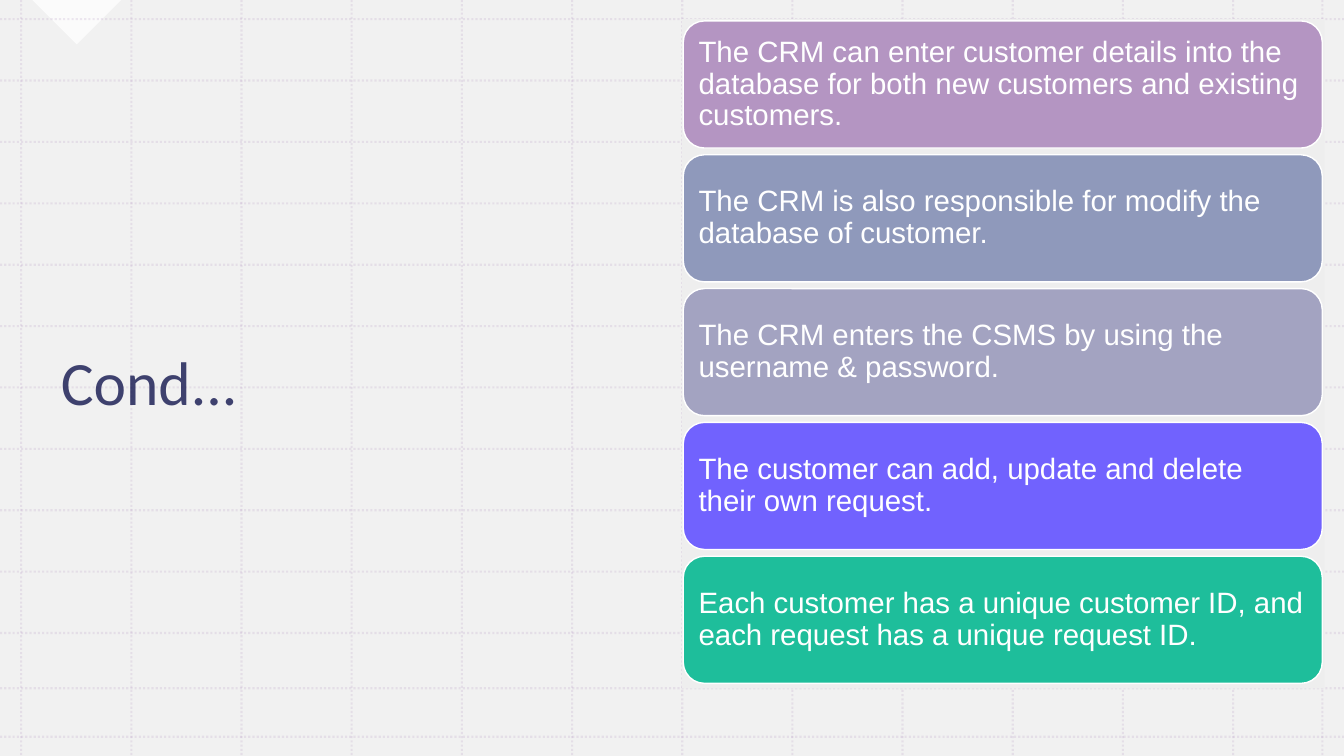
from pptx import Presentation
from pptx.dml.color import RGBColor
from pptx.enum.dml import MSO_LINE
from pptx.enum.shapes import MSO_CONNECTOR, MSO_SHAPE
from pptx.enum.text import MSO_ANCHOR, PP_ALIGN
from pptx.oxml.ns import qn
from pptx.util import Inches, Pt
from lxml.etree import SubElement

WIDTH, HEIGHT = 13.33, 7.5
LEFT, TOP = 0.21, 0.19
COL, ROW = (12.23 - LEFT) / 11, (6.28 - TOP) / 10

WHITE = RGBColor(0xFF, 0xFF, 0xFF)
PALE = RGBColor(0xEE, 0xEE, 0xEE)
NAVY = RGBColor(0x12, 0x15, 0x4E)
MAUVE = RGBColor(0xB4, 0x95, 0xC2)
SLATE = RGBColor(0x8F, 0x99, 0xBB)
LAVENDER = RGBColor(0xA3, 0xA3, 0xC1)
VIOLET = RGBColor(0x71, 0x62, 0xFE)
GREEN = RGBColor(0x1E, 0xBE, 0x9B)

CARDS = [
    (MAUVE, "The CRM can enter customer details into the database for both "
            "new customers and existing customers."),
    (SLATE, "The CRM\u00a0is also responsible for\u00a0modify the database of customer."),
    (LAVENDER, "The CRM\u00a0enters the\u00a0CSMS by using the username\u00a0& password.\u00a0"),
    (VIOLET, "The\u00a0customer can add, update and delete their own request."),
    (GREEN, "Each customer has a unique customer\u00a0ID, and each\u00a0request "
            "has a unique\u00a0request ID."),
]


def set_alpha(element, percent):
    for color in element.iter(qn("a:srgbClr")):
        SubElement(color, qn("a:alpha")).set("val", str(percent * 1000))


def write(tf, text, font="Arial", size=21, color=WHITE, alpha=100, inset=0.09):
    tf.word_wrap = True
    tf.vertical_anchor = MSO_ANCHOR.MIDDLE
    tf.margin_left = tf.margin_right = tf.margin_top = tf.margin_bottom = Inches(inset)
    p = tf.paragraphs[0]
    p.alignment = PP_ALIGN.LEFT
    p.line_spacing = 0.9
    r = p.add_run()
    r.text = text
    r.font.name = font
    r.font.size = Pt(size)
    r.font.color.rgb = color
    if alpha < 100:
        set_alpha(r._r, alpha)


class Deck:
    def __init__(self):
        self.prs = Presentation()
        self.prs.slide_width = Inches(WIDTH)
        self.prs.slide_height = Inches(HEIGHT)
        self.s = self.prs.slides.add_slide(self.prs.slide_layouts[6])

    def cell(self, col, row, cols, rows):
        return LEFT + col * COL, TOP + row * ROW, cols * COL, rows * ROW

    def shape(self, kind, box, fill, alpha=100, outline=None, rotation=0):
        sp = self.s.shapes.add_shape(kind, *map(Inches, box))
        sp.shadow.inherit = False
        sp.rotation = rotation
        sp.fill.solid()
        sp.fill.fore_color.rgb = fill
        if alpha < 100:
            set_alpha(sp._element.spPr, alpha)
        if outline is None:
            sp.line.fill.background()
        else:
            sp.line.color.rgb = outline
            sp.line.width = Pt(1)
        return sp

    def text(self, box, text, **style):
        sp = self.s.shapes.add_textbox(*map(Inches, box))
        write(sp.text_frame, text, **style)

    def card(self, box, fill, text):
        sp = self.shape(MSO_SHAPE.ROUNDED_RECTANGLE, box, fill, outline=WHITE)
        write(sp.text_frame, text)

    def dotted_line(self, x1, y1, x2, y2):
        line = self.s.shapes.add_connector(
            MSO_CONNECTOR.STRAIGHT, *map(Inches, (x1, y1, x2, y2)))
        line.line.color.rgb = MAUVE
        line.line.width = Pt(1.5)
        line.line.dash_style = MSO_LINE.ROUND_DOT
        set_alpha(line._element.spPr, 20)
        SubElement(line._element.spPr, qn("a:effectLst"))

    def grid(self, cols, rows):
        for col in cols:
            x = LEFT + col * COL
            self.dotted_line(x, 0, x, HEIGHT)
        for row in rows:
            y = TOP + row * ROW
            self.dotted_line(0, y, WIDTH, y)


deck = Deck()
deck.shape(MSO_SHAPE.RECTANGLE, (0, 0, WIDTH, HEIGHT), PALE, alpha=80)
deck.shape(MSO_SHAPE.RIGHT_TRIANGLE, deck.cell(0.22, -0.82, 0.57, 1.02), WHITE,
           alpha=75, rotation=315)
deck.grid([*range(12), 11.81], [*range(11), 10.9, 11.69])
deck.text(deck.cell(0.27, 1, 5.55, 9.93), "Cond...", font="Calibri", size=44,
          color=NAVY, alpha=80, inset=0.1)
deck.shape(MSO_SHAPE.RECTANGLE, deck.cell(6, 0, 5.83, 10.9), PALE)
for i, (fill, text) in enumerate(CARDS):
    deck.card(deck.cell(6.01, 0.03 + 2.18 * i, 5.8, 2.07), fill, text)
deck.prs.save("out.pptx")
